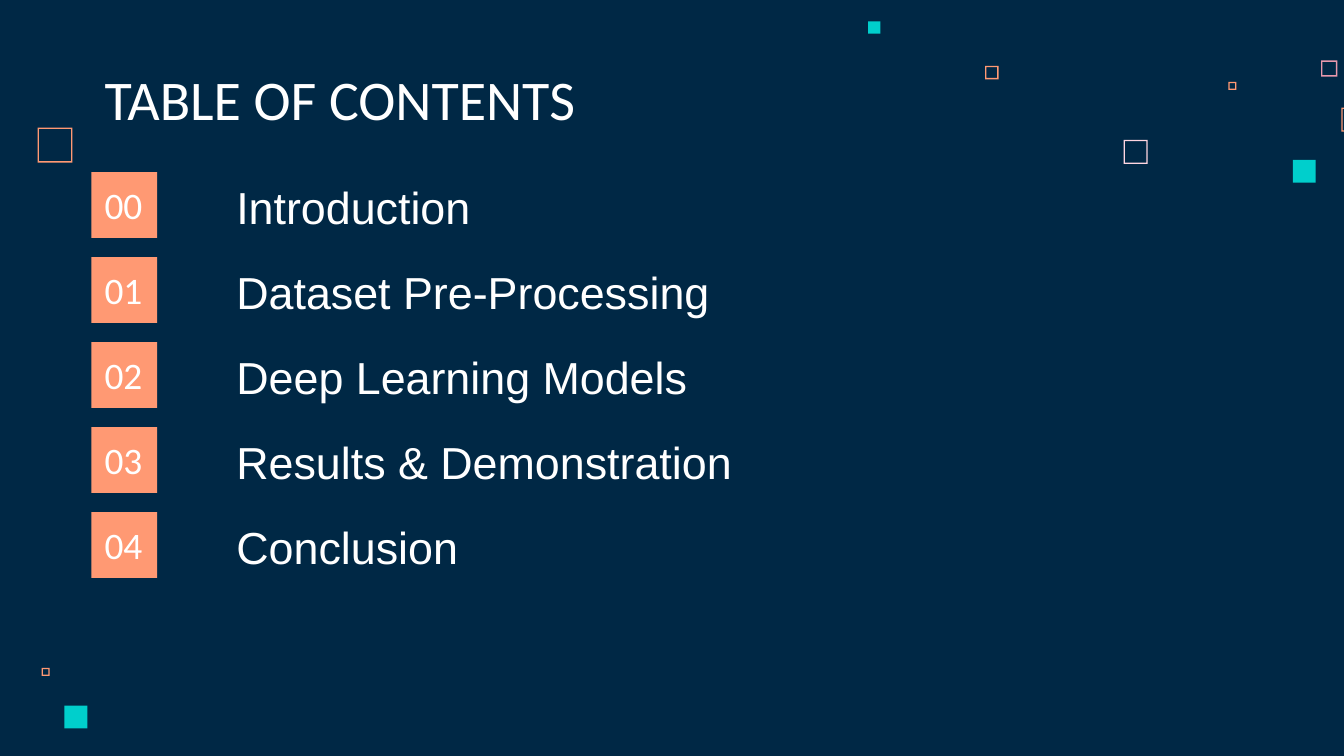
import pptx
import pptx.dml.color
import pptx.enum.shapes
import pptx.enum.text
import pptx.util

Inches = pptx.util.Inches
SHAPES = pptx.enum.shapes.MSO_SHAPE
ANCHORS = pptx.enum.text.MSO_ANCHOR

COLORS = {
    "navy": "002845",
    "white": "FFFFFF",
    "orange": "FF9973",
    "teal": "00CFCC",
    "pink": "FFD6E1",
    "rose": "E898AC",
}
TOPICS = [
    "Introduction",
    "Dataset Pre-Processing",
    "Deep Learning Models",
    "Results & Demonstration",
    "Conclusion",
]
ROW_HEIGHT = 0.63
BADGE_SIZE = 0.49

# Decoration: left, top, size, colour, and border (0 for a solid square)
CORNER_SQUARES = [
    (8.36, 1.04, 0.18, "pink", 0.01),
    (9.83, 0.45, 0.12, "rose", 0.01),
    (9.14, 0.61, 0.06, "orange", 0.01),
    (9.98, 0.80, 0.18, "orange", 0.01),
    (9.62, 1.19, 0.17, "teal", 0),
    (7.33, 0.49, 0.10, "orange", 0.01),
    (6.46, 0.16, 0.09, "teal", 0),
    (0.31, 4.97, 0.06, "orange", 0.01),
    (0.48, 5.25, 0.17, "teal", 0),
]


def rgb(name):
    return pptx.dml.color.RGBColor.from_string(COLORS[name])


def add_square(slide, left, top, size, color, border=0):
    """Draw a solid square, or a hollow one when a border is given."""
    kind = SHAPES.FRAME if border else SHAPES.RECTANGLE
    shape = slide.shapes.add_shape(
        kind, Inches(left), Inches(top), Inches(size), Inches(size))
    if border:
        shape.adjustments[0] = border / size
    shape.shadow.inherit = False
    shape.fill.solid()
    shape.fill.fore_color.rgb = rgb(color)
    shape.line.fill.background()


def add_text(slide, text, left, top, width, height, *, size,
             font="Calibri", color="white", anchor=ANCHORS.BOTTOM):
    box = slide.shapes.add_textbox(
        Inches(left), Inches(top), Inches(width), Inches(height))
    frame = box.text_frame
    frame.word_wrap = True
    frame.vertical_anchor = anchor
    frame.margin_left = frame.margin_right = Inches(0.1)
    frame.margin_top = frame.margin_bottom = Inches(0.1)
    run = frame.paragraphs[0].add_run()
    run.text = text
    run.font.name = font
    run.font.size = pptx.util.Pt(size)
    run.font.color.rgb = rgb(color)


def add_heading(slide, left, top, width, height):
    add_text(slide, "TABLE OF CONTENTS", left, top, width, height, size=30)
    add_square(slide, left - 0.4, top + 0.5, 0.26, "orange", 0.01)


def add_contents(slide, left, top, width, height):
    """Spread one numbered row per topic evenly over the height."""
    pitch = (height - ROW_HEIGHT) / (len(TOPICS) - 1)
    for number, topic in enumerate(TOPICS):
        row_top = top + number * pitch
        badge_top = row_top + (ROW_HEIGHT - BADGE_SIZE) / 2
        add_square(slide, left, badge_top, BADGE_SIZE, "orange")
        add_text(slide, topic, left + 0.98, row_top, width - 0.98, ROW_HEIGHT,
                 size=24, font="Arial")
        add_text(slide, f"{number:02}", left, row_top, 0.84, ROW_HEIGHT,
                 size=20, anchor=ANCHORS.MIDDLE)


def main():
    presentation = pptx.Presentation()
    presentation.slide_width = Inches(10)
    presentation.slide_height = Inches(10) * 9 // 16
    slide = presentation.slides.add_slide(presentation.slide_layouts[6])

    # Background and scattered squares
    slide.background.fill.solid()
    slide.background.fill.fore_color.rgb = rgb("navy")
    for square in CORNER_SQUARES:
        add_square(slide, *square)

    # Heading and list
    add_heading(slide, 0.68, 0.45, 5, 0.63)
    add_contents(slide, 0.68, 1.21, 5.07, 3.16)

    presentation.save("out.pptx")


if __name__ == "__main__":
    main()
